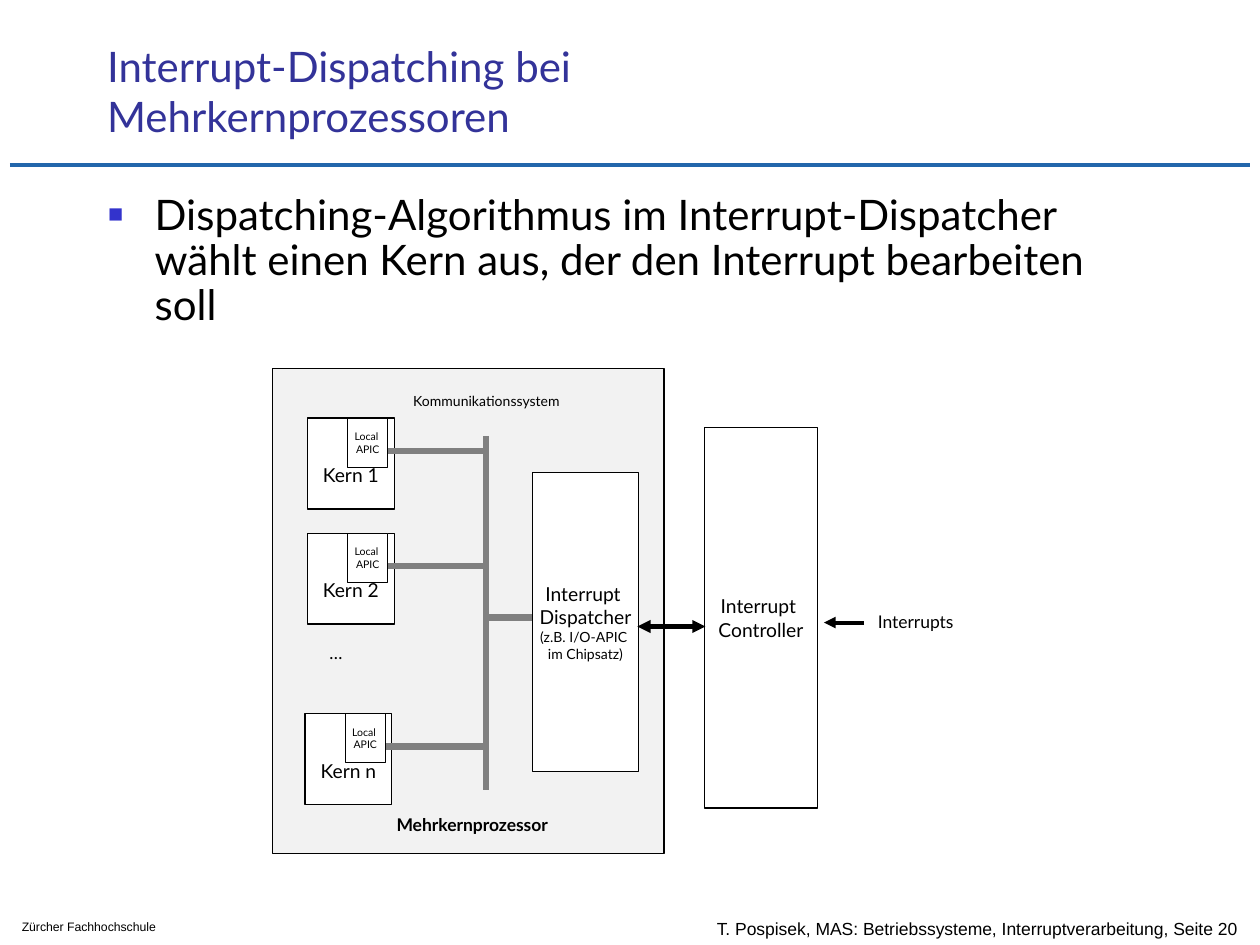
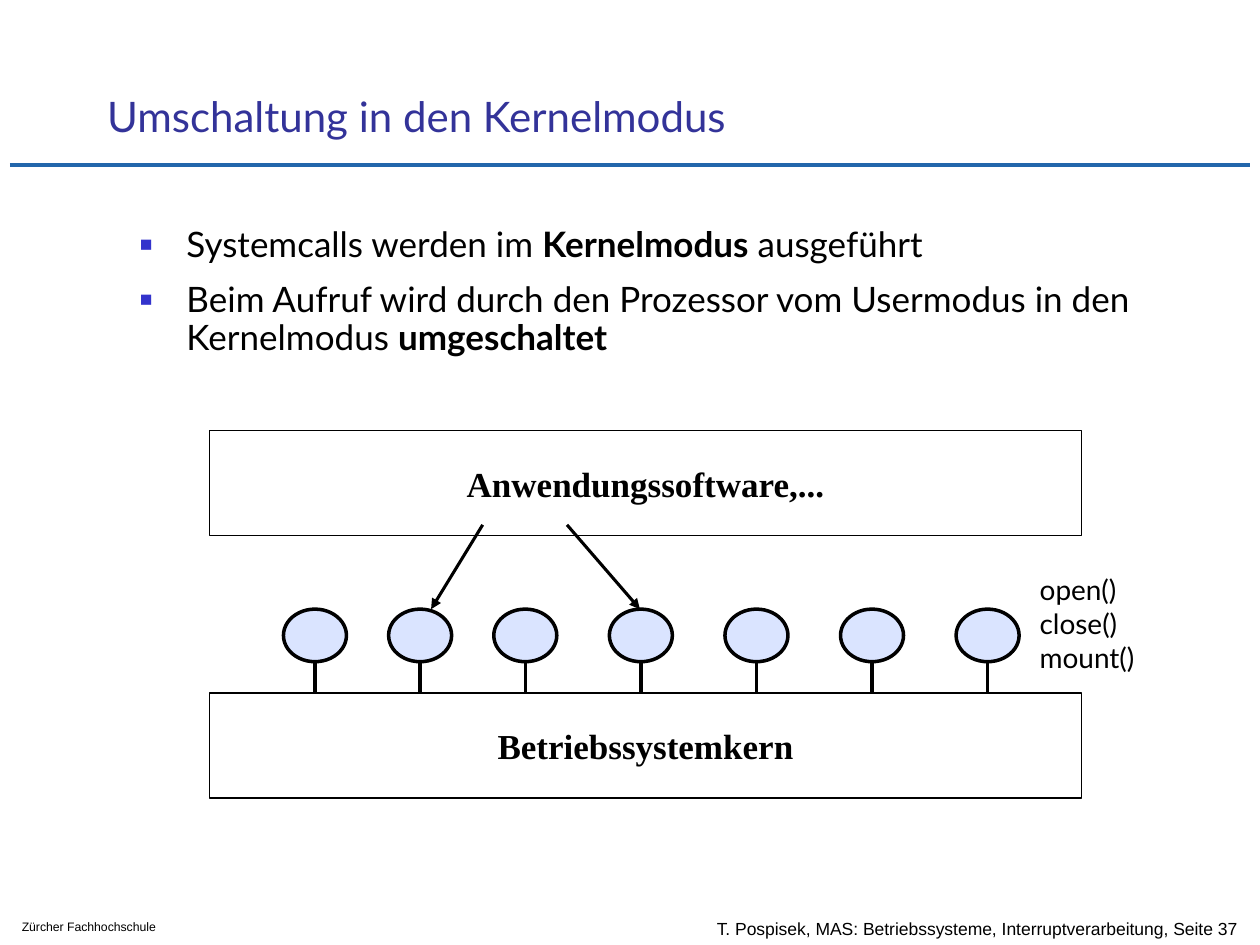
from dataclasses import dataclass
from typing import NamedTuple

from lxml.etree import SubElement
from pptx import Presentation
from pptx.dml.color import RGBColor
from pptx.enum.shapes import MSO_CONNECTOR, MSO_SHAPE as Shape
from pptx.enum.text import MSO_ANCHOR as Anchor, PP_ALIGN as Align
from pptx.oxml.ns import qn
from pptx.util import Cm, Pt

COLORS = {
    "ink": "000000",
    "title": "333399",
    "bullet": "3333CC",
    "rule": "2266AB",
    "paper": "FFFFFF",
    "processor": "F2F2F2",
    "bus": "808080",
    "call": "DAE4FF",
}
BODY_FONT, FOOTER_FONT, LAYER_FONT = "Lato", "Arial", "Times New Roman"
INSETS = {
    "margin_left": Cm(0.25),
    "margin_right": Cm(0.25),
    "margin_top": Cm(0.13),
    "margin_bottom": Cm(0.13),
}
BULLET_INDENT = {"marL": Cm(0.97), "indent": Cm(-0.94)}


class Box(NamedTuple):
    """Left, top, width and height in centimetres."""
    left: float
    top: float
    width: float
    height: float

    def lengths(self) -> list:
        return [Cm(value) for value in self]


class Run(NamedTuple):
    text: str
    size: float
    bold: bool = False


@dataclass(frozen=True)
class TextStyle:
    font: str = BODY_FONT
    color: str = "ink"
    align: Align = Align.LEFT
    anchor: Anchor = Anchor.TOP
    wrap: bool = True
    top_inset: float = 0.13
    space_before: float = 0
    bulleted: bool = False


@dataclass(frozen=True)
class Stroke:
    color: str = "ink"
    width: float = 0.75
    head: bool = False
    tail: bool = False


class Core(NamedTuple):
    label: str
    left: float
    top: float


class Label(NamedTuple):
    run: Run
    box: Box
    style: TextStyle


CENTERED = TextStyle(align=Align.CENTER, anchor=Anchor.MIDDLE, wrap=False)
CAPTION = TextStyle(align=Align.CENTER, wrap=False)
TITLE = TextStyle(color="title", anchor=Anchor.BOTTOM)
# The extra top inset keeps the core name below its local APIC.
CORE_NAME = TextStyle(align=Align.CENTER, anchor=Anchor.MIDDLE, wrap=False, top_inset=0.58)
LAYER_NAME = TextStyle(LAYER_FONT, align=Align.CENTER, anchor=Anchor.MIDDLE, wrap=False)
THIN = Stroke()
BUS = Stroke("bus", 3.75)
CALL_STROKE = Stroke(width=2)

CORES = [Core("Kern 1", 6.2, 8.43), Core("Kern 2", 6.2, 10.75), Core("Kern n", 6.15, 14.39)]
BUS_X = 9.8
DIAGRAM_LABELS = [
    Label(Run("Kommunikationssystem", 8), Box(8.08, 7.78, 3.66, 0.91), TextStyle()),
    Label(Run("…", 10), Box(6.38, 12.82, 0.79, 0.69), CAPTION),
    Label(Run("Mehrkernprozessor", 10, True), Box(7.55, 16.28, 3.94, 0.69), CAPTION),
    Label(Run("Interrupts", 10), Box(17.37, 12.19, 2.18, 0.69), CAPTION),
]
LAYERS = {"Anwendungssoftware,...": 8.68, "Betriebssystemkern": 13.97}
CALL_COUNT, CALL_TOP, CALL_WIDTH, CALL_HEIGHT = 7, 12.28, 1.27, 1.06


def rgb(name: str) -> RGBColor:
    return RGBColor.from_string(COLORS[name])


def apply(target, values: dict) -> None:
    for name, value in values.items():
        setattr(target, name, value)


def add_bullet(paragraph) -> None:
    properties = paragraph._p.get_or_add_pPr()
    for name, length in BULLET_INDENT.items():
        properties.set(name, str(int(length)))
    color = SubElement(properties, qn("a:buClr"))
    SubElement(color, qn("a:srgbClr"), val=COLORS["bullet"])
    SubElement(properties, qn("a:buSzPct"), val="60000")
    SubElement(properties, qn("a:buFont"), typeface="Arial")
    SubElement(properties, qn("a:buChar"), char="■")


def write(frame, paragraphs: list[list[Run]], style: TextStyle) -> None:
    apply(frame, INSETS | {
        "margin_top": Cm(style.top_inset),
        "word_wrap": style.wrap,
        "vertical_anchor": style.anchor,
    })
    for index, runs in enumerate(paragraphs):
        paragraph = frame.add_paragraph() if index else frame.paragraphs[0]
        paragraph.alignment = style.align
        if style.bulleted:
            add_bullet(paragraph)
            apply(paragraph, {"line_spacing": 0.9, "space_before": Pt(style.space_before)})
        for run in runs:
            piece = paragraph.add_run()
            piece.text = run.text
            apply(piece.font, {"name": style.font, "size": Pt(run.size), "bold": run.bold})
            piece.font.color.rgb = rgb(style.color)


def add_text(slide, box: Box, paragraphs: list[list[Run]], style: TextStyle):
    area = slide.shapes.add_textbox(*box.lengths())
    write(area.text_frame, paragraphs, style)
    return area


def add_block(slide, box: Box, lines: tuple[Run, ...] = (), style: TextStyle = CENTERED,
              fill: str = "paper", stroke: Stroke = THIN, kind: Shape = Shape.RECTANGLE) -> None:
    """Draw an outlined shape with one paragraph for each run."""
    block = slide.shapes.add_shape(kind, *box.lengths())
    block.shadow.inherit = False
    block.fill.solid()
    block.fill.fore_color.rgb = rgb(fill)
    block.line.color.rgb = rgb(stroke.color)
    block.line.width = Pt(stroke.width)
    if lines:
        write(block.text_frame, [[line] for line in lines], style)


def add_line(slide, start: tuple[float, float], end: tuple[float, float], stroke: Stroke) -> None:
    points = [Cm(value) for value in (*start, *end)]
    connector = slide.shapes.add_connector(MSO_CONNECTOR.STRAIGHT, *points)
    connector.line.color.rgb = rgb(stroke.color)
    connector.line.width = Pt(stroke.width)
    properties = connector._element.spPr
    outline = properties.find(qn("a:ln"))
    for tag, wanted in {"a:headEnd": stroke.head, "a:tailEnd": stroke.tail}.items():
        if wanted:
            SubElement(outline, qn(tag), type="triangle")
    SubElement(properties, qn("a:effectLst"))


def add_page(deck, title: str, number: int):
    """Add a slide with the shared rule, footers and title."""
    slide = deck.slides.add_slide(deck.slide_layouts[6])
    add_line(slide, (0.2, 3.33), (25.2, 3.33), Stroke("rule", 2.5))
    source = f"T. Pospisek, MAS: Betriebssysteme, Interruptverarbeitung, Seite {number}"
    add_text(slide, Box(14.2, 18.37, 11.2, 0.68), [[Run(source, 10)]],
             TextStyle(FOOTER_FONT, anchor=Anchor.MIDDLE))
    add_text(slide, Box(0.19, 18.41, 4.37, 0.56), [[Run("Zürcher Fachhochschule", 7)]],
             TextStyle(FOOTER_FONT))
    add_text(slide, Box(1.91, 0.86, 17.9, 2.11), [[Run(title, 24)]], TITLE)
    return slide


def add_core(slide, core: Core) -> None:
    add_block(slide, Box(core.left, core.top, 1.75, 1.83), (Run(core.label, 11),), CORE_NAME)
    link_y = core.top + 0.66
    add_line(slide, (BUS_X, link_y), (core.left + 1.6, link_y), BUS)
    add_block(slide, Box(core.left + 0.81, core.top, 0.81, 0.99),
              (Run("Local ", 6), Run("APIC", 6)))


def build_dispatching(deck) -> None:
    slide = add_page(deck, "Interrupt-Dispatching bei Mehrkernprozessoren", 20)
    algorithm = ("Dispatching-Algorithmus im Interrupt-Dispatcher wählt einen Kern aus, "
                 "der den Interrupt bearbeiten soll")
    add_text(slide, Box(1.9, 3.78, 21.39, 2.95), [[Run(algorithm, 24)]],
             TextStyle(space_before=12, bulleted=True))

    add_block(slide, Box(5.49, 7.43, 7.9, 9.78), fill="processor")
    add_block(slide, Box(14.2, 8.62, 2.28, 7.67), (Run("Interrupt ", 11), Run("Controller", 11)))
    for core in CORES:
        add_core(slide, core)
    add_line(slide, (BUS_X, 8.79), (BUS_X, 15.93), BUS)
    add_line(slide, (11.81, 12.45), (BUS_X, 12.45), BUS)
    add_block(slide, Box(10.74, 9.53, 2.13, 6.02), (
        Run("Interrupt ", 11), Run("Dispatcher", 11),
        Run("(z.B. I/O-APIC ", 8), Run("im Chipsatz)", 8)))
    add_line(slide, (14.22, 12.63), (12.85, 12.63), Stroke(width=2.5, head=True, tail=True))
    add_line(slide, (17.42, 12.55), (16.61, 12.55), Stroke(width=2.25, tail=True))
    for label in DIAGRAM_LABELS:
        add_text(slide, label.box, [[label.run]], label.style)


def call_center(index: int) -> float:
    """Return the x of a system call; the gaps widen after the third one."""
    return 6.35 + 2.12 * min(index, 2) + 2.33 * max(index - 2, 0)


def build_kernel_mode(deck) -> None:
    slide = add_page(deck, "Umschaltung in den Kernelmodus", 37)
    add_text(slide, Box(2.54, 4.45, 21.59, 2.54), [
        [Run("Systemcalls werden im ", 20), Run("Kernelmodus", 20, True),
         Run(" ausgeführt", 20)],
        [Run("Beim Aufruf wird durch den Prozessor vom Usermodus in den Kernelmodus ", 20),
         Run("umgeschaltet", 20, True)],
    ], TextStyle(space_before=10, bulleted=True))

    for layer, top in LAYERS.items():
        add_block(slide, Box(4.23, top, 17.57, 2.12), (Run(layer, 20, True),), LAYER_NAME)
    for index in range(CALL_COUNT):
        center = call_center(index)
        add_block(slide, Box(center - CALL_WIDTH / 2, CALL_TOP, CALL_WIDTH, CALL_HEIGHT),
                  fill="call", stroke=CALL_STROKE, kind=Shape.OVAL)
        add_line(slide, (center, CALL_TOP + CALL_HEIGHT),
                 (center, LAYERS["Betriebssystemkern"]), CALL_STROKE)
    for start_x, end_x in ((9.73, 8.69), (11.43, 12.9)):
        add_line(slide, (start_x, 10.58), (end_x, CALL_TOP), Stroke(width=1.75, tail=True))
    calls = add_text(slide, Box(20.71, 11.42, 2.62, 2.29),
                     [[Run(name, 16)] for name in ("open()", "close()", "mount()")], TextStyle())
    calls.fill.solid()
    calls.fill.fore_color.rgb = rgb("paper")


def main() -> None:
    deck = Presentation()
    apply(deck, {"slide_width": Cm(25.4), "slide_height": Cm(19.05)})
    build_dispatching(deck)
    build_kernel_mode(deck)
    deck.save("out.pptx")


if __name__ == "__main__":
    main()
